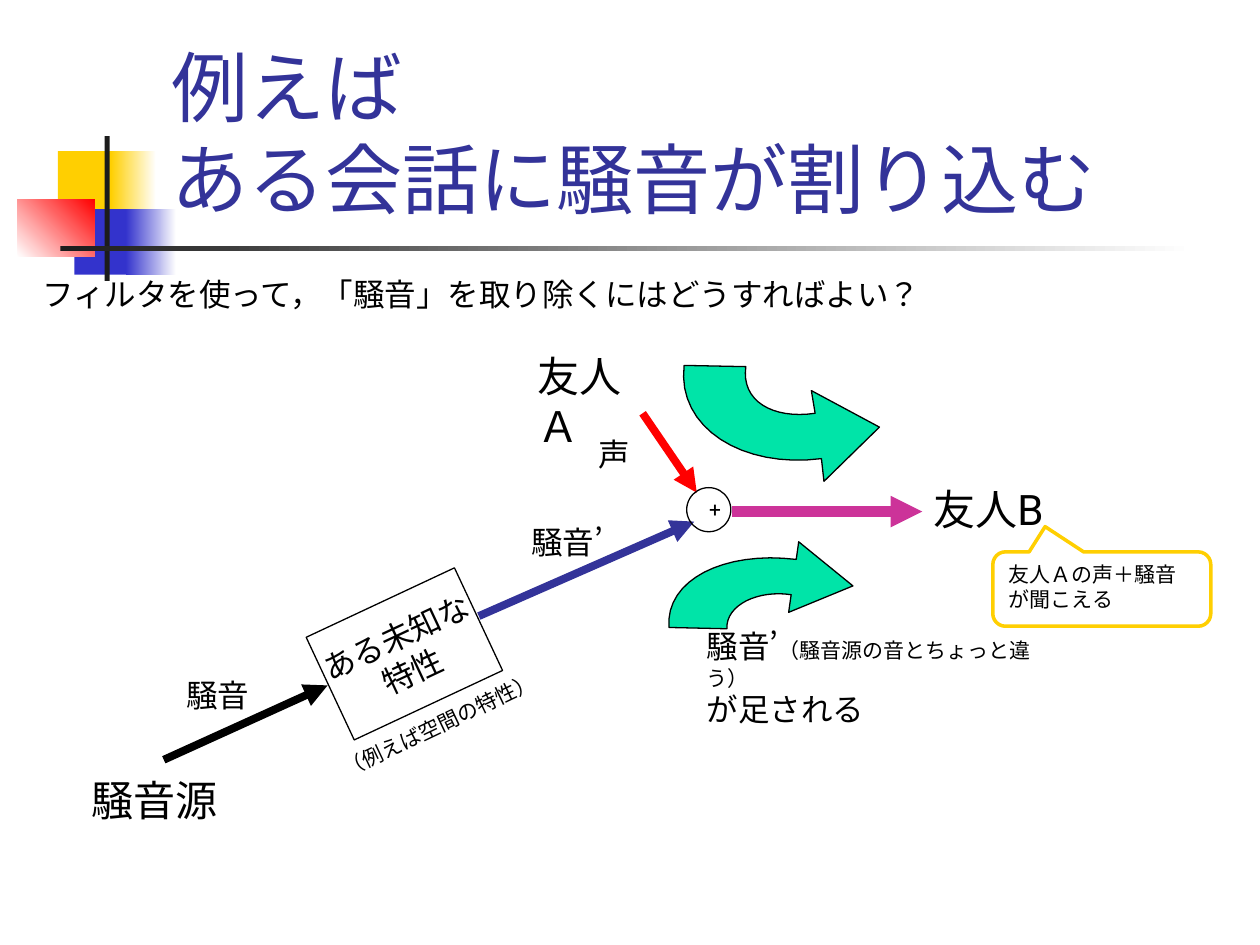
from dataclasses import dataclass

import pptx
import pptx.dml.color
import pptx.enum.lang
import pptx.enum.shapes
import pptx.enum.text
import pptx.oxml
import pptx.oxml.ns
import pptx.util

SCALE = 9144  # EMU in one px, 100 px to the inch
KINDS = pptx.enum.shapes.MSO_SHAPE
ANCHOR = pptx.enum.text.MSO_ANCHOR
ALIGN = pptx.enum.text.PP_ALIGN
TONGUE = pptx.enum.lang.MSO_LANGUAGE_ID.JAPANESE
BLACK, WHITE, GOLD, BLUE, RED = "000000", "FFFFFF", "FFCF01", "3333CC", "FF0000"
NAVY, DARK, GREEN, PINK = "333399", "1C1C1C", "00E4A8", "CC3399"


@dataclass
class Box:
    left: int
    top: int
    width: int
    height: int

    def emu(self) -> list[int]:
        return [v * SCALE for v in (self.left, self.top, self.width, self.height)]


@dataclass
class Block:
    box: Box
    start: str
    end: str = ""
    angle: int = 0


@dataclass
class Arrow:
    start: tuple[int, int]
    end: tuple[int, int]
    color: str
    width: float = 4.5


@dataclass
class Label:
    box: Box
    paras: list
    size: int = 18
    font: str = "Roboto"
    turn: float = 0


def rgb(code: str):
    return pptx.dml.color.RGBColor.from_string(code)


def write(shape, paras, size=18, font="Roboto", color=BLACK, wrap=True,
          align=ALIGN.LEFT, anchor=ANCHOR.TOP) -> None:
    """Each paragraph is a string or a list of (text, size) parts."""
    frame = shape.text_frame
    frame.word_wrap = wrap
    frame.vertical_anchor = anchor
    for i, parts in enumerate(paras):
        para = frame.add_paragraph() if i else frame.paragraphs[0]
        para.alignment = align
        for text, points in [(parts, size)] if isinstance(parts, str) else parts:
            for j, line in enumerate(text.split("\n")):
                if j:
                    para.add_line_break()
                run = para.add_run()
                run.text = line
                run.font.name = font
                run.font.language_id = TONGUE
                run.font.size = pptx.util.Pt(points)
                run.font.color.rgb = rgb(color)


def paint(shape, fill=None, line=None, width=0.75) -> None:
    shape.shadow.inherit = False
    if fill:
        shape.fill.solid()
        shape.fill.fore_color.rgb = rgb(fill)
    else:
        shape.fill.background()
    if line:
        shape.line.color.rgb = rgb(line)
        shape.line.width = pptx.util.Pt(width)
    else:
        shape.line.fill.background()


def add_shape(slide, kind, box: Box, **look):
    shape = slide.shapes.add_shape(kind, *box.emu())
    paint(shape, **look)
    return shape


def add_block(slide, block: Block) -> None:
    shape = add_shape(slide, KINDS.RECTANGLE, block.box, fill=block.start)
    if block.end:
        shape.fill.gradient()
        shape.fill.gradient_angle = block.angle
        for stop, code in zip(shape.fill.gradient_stops, (block.start, block.end)):
            stop.color.rgb = rgb(code)


def add_arrow(slide, arrow: Arrow) -> None:
    ends = [v * SCALE for v in arrow.start + arrow.end]
    line = slide.shapes.add_connector(pptx.enum.shapes.MSO_CONNECTOR.STRAIGHT, *ends)
    line.line.color.rgb = rgb(arrow.color)
    line.line.width = pptx.util.Pt(arrow.width)
    tip = pptx.oxml.parse_xml(f'<a:tailEnd {pptx.oxml.ns.nsdecls("a")} type="triangle"/>')
    line.line._get_or_add_ln().append(tip)
    props = line._element.spPr
    props.append(pptx.oxml.parse_xml(f'<a:effectLst {pptx.oxml.ns.nsdecls("a")}/>'))


def add_label(slide, label: Label) -> None:
    shape = slide.shapes.add_textbox(*label.box.emu())
    shape.rotation = label.turn
    write(shape, label.paras, size=label.size, font=label.font)


def curve(points, steps: int = 16) -> list[tuple[float, float]]:
    """Points along a cubic curve, the first one left out."""
    spots = []
    for i in range(1, steps + 1):
        t = i / steps
        mix = ((1 - t) ** 3, 3 * t * (1 - t) ** 2, 3 * t * t * (1 - t), t ** 3)
        spots.append(tuple(sum(m * p[k] for m, p in zip(mix, points)) for k in (0, 1)))
    return spots


def add_bend(slide, inner, outer, head) -> None:
    """Bent arrow: inner curve, outer curve, then the corners of its head."""
    spots = [inner[0], *curve(inner), outer[0], *curve(outer), *head]
    spots = [(round(x * SCALE), round(y * SCALE)) for x, y in spots]
    path = slide.shapes.build_freeform(*spots[0], scale=1.0)
    path.add_line_segments(spots[1:], close=True)
    paint(path.convert_to_shape(), fill=GREEN, line=BLACK)


BLOCKS = [
    Block(Box(46, 120, 48, 52), GOLD),
    Block(Box(88, 120, 36, 52), GOLD, WHITE),
    Block(Box(59, 166, 46, 52), BLUE),
    Block(Box(100, 166, 40, 52), BLUE, WHITE),
    Block(Box(14, 158, 61, 46), WHITE, RED, 45),
    Block(Box(83, 108, 4, 115), DARK),
    Block(Box(48, 195, 900, 4), DARK, WHITE),
]
ARROWS = [
    Arrow((510, 328), (553, 391), RED),
    Arrow((380, 489), (551, 414), NAVY),
    Arrow((581, 406), (732, 406), PINK, 6),
    Arrow((130, 603), (260, 544), BLACK),
]
LABELS = [
    Label(Box(417, 273, 114, 90), ["友人Ａ"], 24, "Arial"),
    Label(Box(553, 389, 40, 30), ["+"], 12),
    Label(Box(731, 379, 140, 50), ["友人B"], 24),
    Label(Box(138, 532, 90, 40), ["騒音"]),
    Label(Box(24, 213, 760, 40), ["フィルタを使って，「騒音」を取り除くにはどうすればよい？"]),
    Label(Box(551, 493, 287, 90),
          [[("騒音’", 18), ("（騒音源の音とちょっと違う）", 12)], "が足される"]),
    Label(Box(254, 556, 206, 30), ["（例えば空間の特性）"], 12, turn=334.4),
    Label(Box(63, 610, 140, 50), ["騒音源"], 24),
    Label(Box(412, 410, 110, 40), ["騒音’"]),
    Label(Box(465, 340, 65, 40), ["声"]),
]


def main() -> None:
    deck = pptx.Presentation()
    deck.slide_width, deck.slide_height = 1000 * SCALE, 750 * SCALE
    slide = deck.slides.add_slide(deck.slide_layouts[6])

    # Corner ornament and title
    for block in BLOCKS:
        add_block(slide, block)
    title = slide.shapes.add_textbox(*Box(126, 23, 852, 160).emu())
    write(title, ["例えば\nある会話に騒音が割り込む"], size=44, color=NAVY,
          anchor=ANCHOR.BOTTOM)

    # Signal flow
    for arrow in ARROWS:
        add_arrow(slide, arrow)
    add_shape(slide, KINDS.OVAL, Box(545, 387, 35, 35), line=BLACK)
    room = add_shape(slide, KINDS.RECTANGLE, Box(256, 474, 130, 90), line=BLACK)
    room.rotation = 334.9
    write(room, ["ある未知な", "特性"], wrap=False, align=ALIGN.CENTER,
          anchor=ANCHOR.MIDDLE)

    # Bent arrows above and below the sum
    add_bend(slide, [(647, 328), (613, 333), (588, 318), (592, 291)],
             [(543, 290), (537, 340), (590, 372), (652, 364)],
             [(654, 382), (698, 339), (644, 310)])
    add_bend(slide, [(628, 472), (602, 468), (576, 480), (577, 499)],
             [(531, 498), (528, 460), (575, 437), (632, 444)],
             [(634, 430), (677, 465), (626, 486)])

    # Labels and callout
    for label in LABELS:
        add_label(slide, label)
    note = add_shape(slide, KINDS.ROUNDED_RECTANGULAR_CALLOUT, Box(788, 438, 173, 59),
                     fill=WHITE, line=GOLD, width=2)
    for i, value in enumerate((-0.26, -0.84, 0.17)):
        note.adjustments[i] = value
    write(note, ["友人Ａの声＋騒音", "が聞こえる"], size=12)

    deck.save("out.pptx")


if __name__ == "__main__":
    main()
